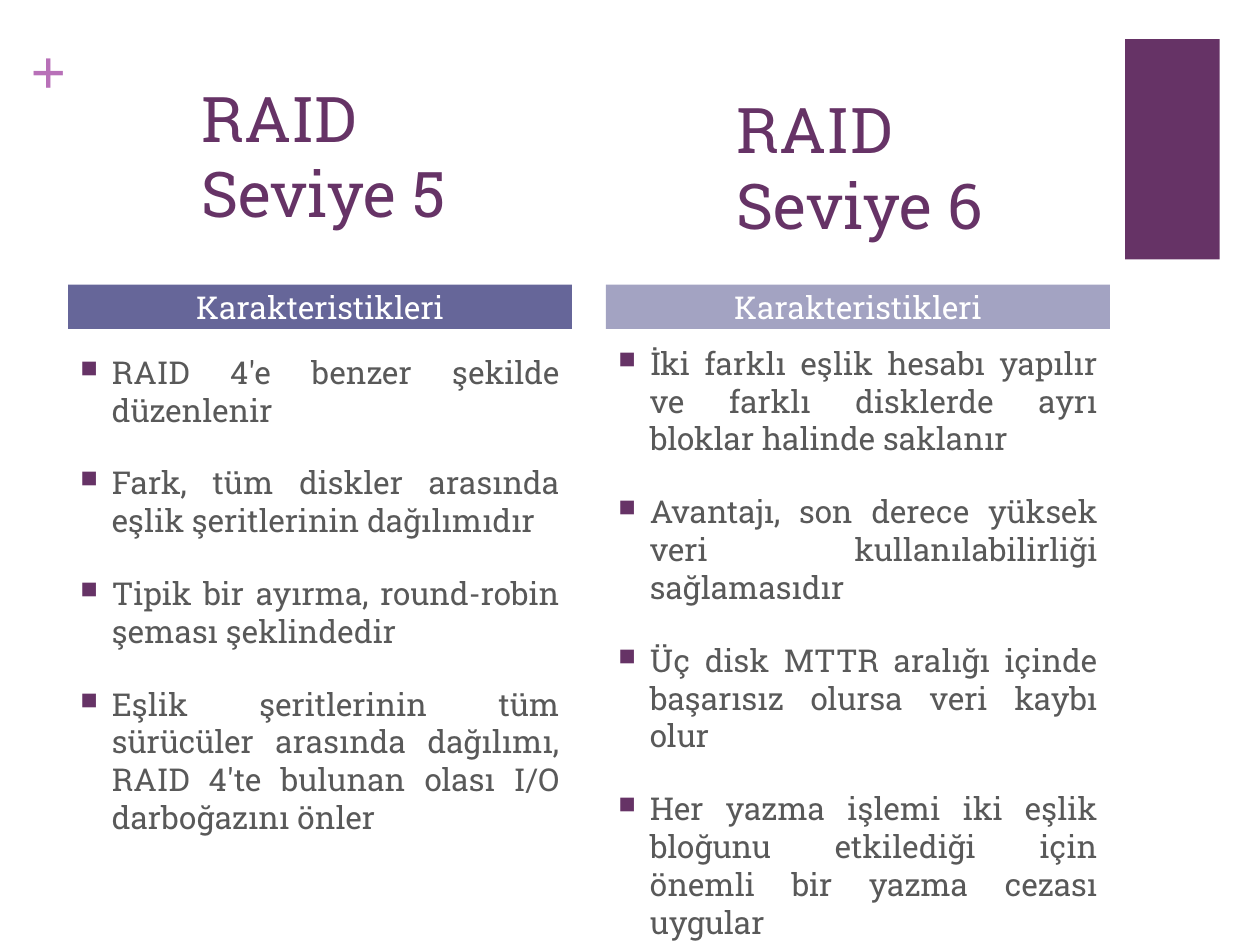
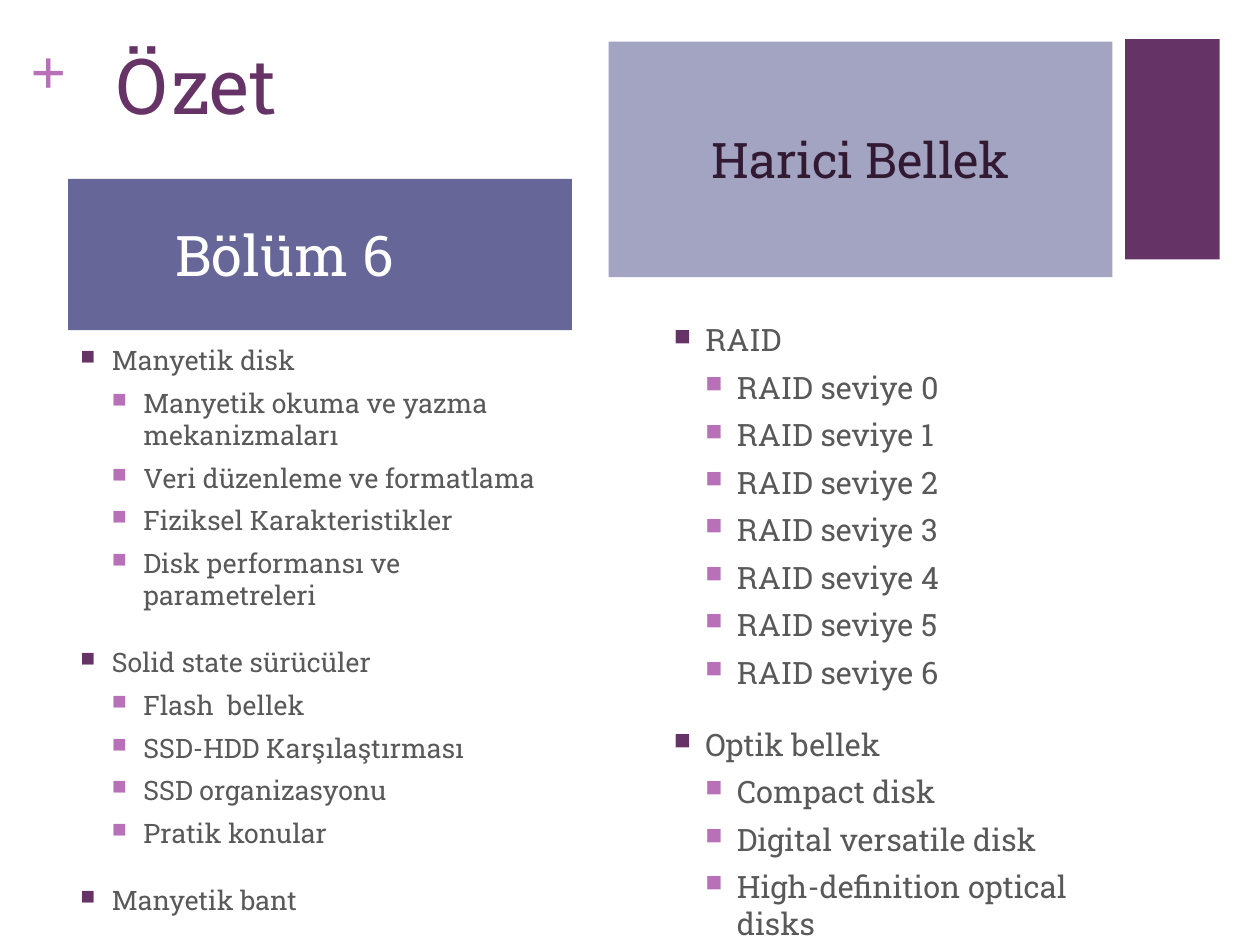
from lxml.etree import SubElement
from pptx import Presentation
from pptx.dml.color import RGBColor
from pptx.enum.shapes import MSO_SHAPE as SHAPE
from pptx.enum.text import MSO_ANCHOR as ANCHOR, PP_ALIGN as ALIGN
from pptx.oxml.ns import qn
from pptx.util import Inches, Pt

PLUM, ORCHID, GREY, WHITE = "663366", "B870B8", "595959", "FFFFFF"
INDIGO, LAVENDER, DARK = "666699", "A3A3C2", "331A33"
LEFT, RIGHT, COL_W = 0.54, 4.81, 4


def rgb(value):
    return RGBColor.from_string(value)


class Deck:
    font = "Roboto Slab"
    bullets = [(PLUM, 20), (ORCHID, 6)]
    indent = 0.25

    def __init__(self):
        self.prs = Presentation()
        self.prs.slide_width, self.prs.slide_height = Inches(10), Inches(7.5)
        self.s = None

    def slide(self):
        self.s = self.prs.slides.add_slide(self.prs.slide_layouts[6])
        self.rect(8.93, 0.31, 0.75, 1.75, PLUM)
        tf = self.box(0.24, 0.25, 0.29, 0.61, inset=0)
        self.run(tf.paragraphs[0], "+", 36, ORCHID, "Times New Roman", True)

    def rect(self, x, y, w, h, fill):
        sp = self.s.shapes.add_shape(SHAPE.RECTANGLE, Inches(x), Inches(y), Inches(w), Inches(h))
        sp.shadow.inherit = False
        sp.fill.solid()
        sp.fill.fore_color.rgb = rgb(fill)
        sp.line.fill.background()
        return sp

    def box(self, x, y, w, h, inset=None):
        tf = self.s.shapes.add_textbox(Inches(x), Inches(y), Inches(w), Inches(h)).text_frame
        tf.word_wrap = True
        if inset is not None:
            tf.margin_left = tf.margin_right = tf.margin_top = tf.margin_bottom = Inches(inset)
        return tf

    def run(self, p, text, size, color, font=None, bold=False):
        r = p.add_run()
        r.text = text
        r.font.name = font or self.font
        r.font.size = Pt(size)
        r.font.bold = bold
        r.font.color.rgb = rgb(color)

    def title(self, x, y, w, text, size=36):
        tf = self.box(x, y, w, 1.22)
        self.run(tf.paragraphs[0], text, size, PLUM)

    def header(self, x, y, h, text, fill, size=18, color=WHITE, right=0.1):
        tf = self.rect(x, y, COL_W, h, fill).text_frame
        tf.word_wrap = True
        tf.vertical_anchor = ANCHOR.MIDDLE
        tf.margin_top = tf.margin_bottom = 0
        tf.margin_left, tf.margin_right = Inches(0.1), Inches(right)
        p = tf.paragraphs[0]
        p.alignment = ALIGN.CENTER
        self.run(p, text, size, color)

    def bullet(self, p, level):
        pPr = p._p.get_or_add_pPr()
        pPr.set("marL", str(Inches(self.indent * (level + 1))))
        pPr.set("indent", str(-Inches(self.indent)))
        clr = SubElement(pPr, qn("a:buClr"))
        SubElement(clr, qn("a:srgbClr")).set("val", self.bullets[level][0])
        SubElement(pPr, qn("a:buSzPct")).set("val", "75000")
        SubElement(pPr, qn("a:buChar")).set("char", "■")

    def outline(self, x, y, h, groups, size, align=ALIGN.LEFT):
        tf = self.box(x, y, COL_W, h)
        items = [(level, text) for head, subs in groups
                 for level, text in [(0, head)] + [(1, sub) for sub in subs]]
        for i, (level, text) in enumerate(items):
            p = tf.add_paragraph() if i else tf.paragraphs[0]
            self.bullet(p, level)
            p.level = level
            p.alignment = align
            p.space_before = Pt(self.bullets[level][1] if i else 0)
            self.run(p, text, size, GREY)


def raid_levels(d):
    d.slide()
    d.title(1.5, 0.58, 2.16, "RAID Seviye 5")
    d.title(5.75, 0.67, 2.16, "RAID Seviye 6")
    level_5 = [
        "RAID 4'e benzer şekilde düzenlenir",
        "Fark, tüm diskler arasında eşlik şeritlerinin dağılımıdır",
        "Tipik bir ayırma, round-robin şeması şeklindedir",
        "Eşlik şeritlerinin tüm sürücüler arasında dağılımı, "
        "RAID 4'te bulunan olası I/O darboğazını önler",
    ]
    level_6 = [
        "İki farklı eşlik hesabı yapılır ve farklı disklerde ayrı bloklar halinde saklanır",
        "Avantajı, son derece yüksek veri kullanılabilirliği sağlamasıdır",
        "Üç disk MTTR aralığı içinde başarısız olursa veri kaybı olur",
        "Her yazma işlemi iki eşlik bloğunu etkilediği için önemli bir yazma cezası uygular",
    ]
    for x, y, fill, points in [(LEFT, 2.75, INDIGO, level_5), (RIGHT, 2.68, LAVENDER, level_6)]:
        d.header(x, 2.26, 0.35, "Karakteristikleri", fill)
        d.outline(x, y, 7.17 - y, [(point, []) for point in points], 18, ALIGN.JUSTIFY)


def summary(d):
    d.slide()
    d.title(0.83, 0.25, 4.45, "Özet", 44)
    d.header(LEFT, 1.42, 1.2, "Bölüm 6", INDIGO, 32, right=0.66)
    d.header(4.83, 0.33, 1.87, "Harici Bellek", LAVENDER, 28, DARK)
    d.outline(LEFT, 2.68, 4.41, [
        ("Manyetik disk", [
            "Manyetik okuma ve yazma mekanizmaları",
            "Veri düzenleme ve formatlama",
            "Fiziksel Karakteristikler",
            "Disk performansı ve parametreleri",
        ]),
        ("Solid state sürücüler", [
            "Flash  bellek",
            "SSD-HDD Karşılaştırması",
            "SSD organizasyonu",
            "Pratik konular",
        ]),
        ("Manyetik bant", []),
    ], 15.3)
    d.outline(5.25, 2.5, 4.5, [
        ("RAID", [f"RAID seviye {n}" for n in range(7)]),
        ("Optik bellek", [
            "Compact disk",
            "Digital versatile disk",
            "High-definition optical disks",
        ]),
    ], 17.6)


def main():
    d = Deck()
    raid_levels(d)
    summary(d)
    d.prs.save("out.pptx")


if __name__ == "__main__":
    main()
